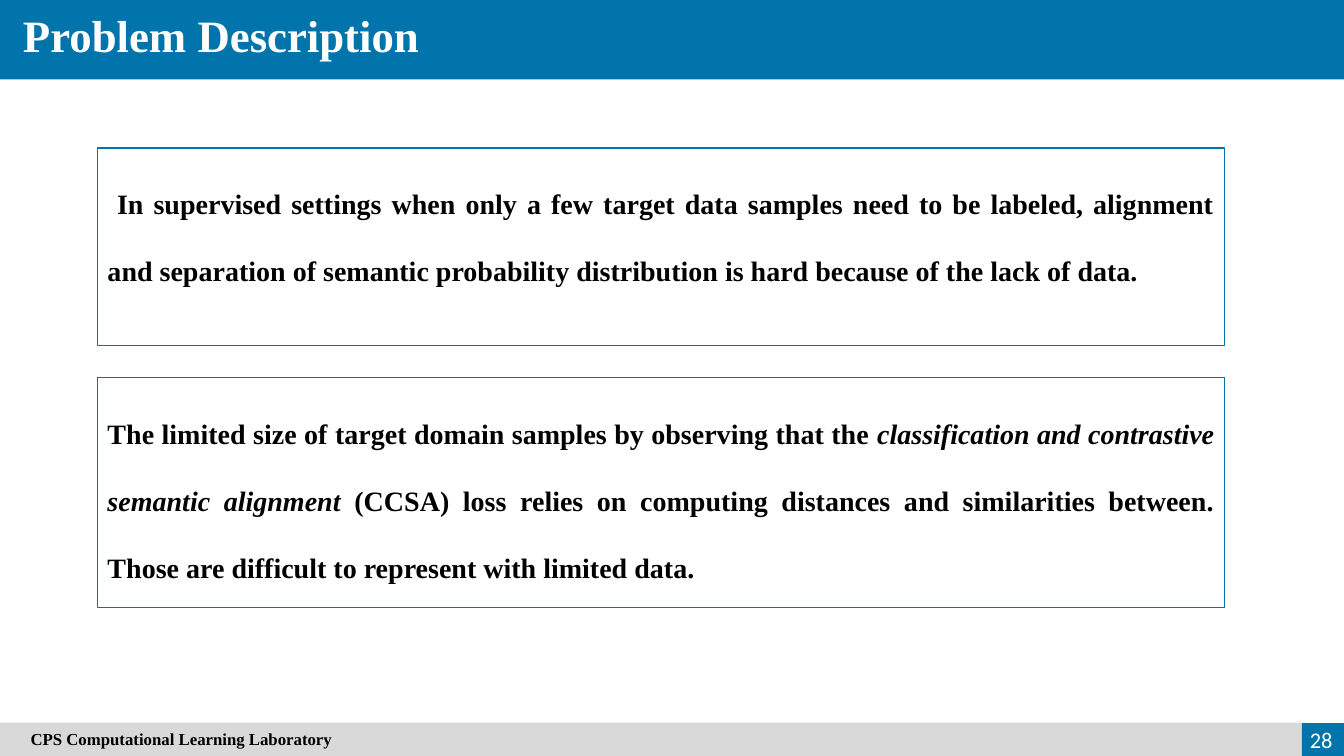
from pptx import Presentation
from pptx import util as u
from pptx.dml.color import RGBColor
from pptx.enum import shapes, text

BLUE, GREY, WHITE, BLACK = "0174AB", "D9D9D9", "FFFFFF", "000000"
SERIF = "Times New Roman"


def panel(left, top, width, height, fill=None, line=None):
    area = slide.shapes.add_shape(
        shapes.MSO_SHAPE.RECTANGLE, u.Cm(left), u.Cm(top), u.Cm(width), u.Cm(height))
    area.shadow.inherit = False
    for part, colour in ((area.fill, fill), (area.line.fill, line)):
        if colour:
            part.solid()
            part.fore_color.rgb = RGBColor.from_string(colour)
        else:
            part.background()
    if line:
        area.line.width = u.Pt(0.75)
    return area


def write(area, *runs, size=20, font=SERIF, colour=BLACK, bold=True, spacing=None,
          align=text.PP_ALIGN.JUSTIFY, anchor=text.MSO_ANCHOR.TOP, wrap=True):
    frame = area.text_frame
    frame.word_wrap = wrap
    frame.vertical_anchor = anchor
    paragraph = frame.paragraphs[0]
    paragraph.alignment = align
    if spacing:
        paragraph.line_spacing = spacing
    for wording, italic in runs:
        run = paragraph.add_run()
        run.text = wording
        run.font.size = u.Pt(size)
        run.font.name = font
        run.font.bold = bold
        run.font.italic = italic
        run.font.color.rgb = RGBColor.from_string(colour)
    return paragraph


deck = Presentation()
deck.slide_width, deck.slide_height = u.Cm(33.87), u.Cm(19.05)
slide = deck.slides.add_slide(deck.slide_layouts[6])

panel(0, 0, 33.87, 2, fill=BLUE)
title = slide.shapes.add_textbox(u.Cm(0.33), u.Cm(0.08), u.Cm(13.64), u.Cm(1.63))
write(title, ("Problem Description", False), size=32, colour=WHITE,
      align=text.PP_ALIGN.LEFT, wrap=False)

scarce_data = panel(2.46, 3.73, 28.4, 4.98, line=BLUE)
opening = write(
    scarce_data,
    ("In supervised settings when only a few target data samples need to be labeled, "
     "alignment and separation of semantic probability distribution is hard because of "
     "the lack of data.", False),
    spacing=2)
opening._p.get_or_add_pPr().set("indent", str(u.Cm(0.24)))

loss_limits = panel(2.46, 9.52, 28.4, 5.8, line=BLUE)
write(
    loss_limits,
    ("The limited size of target domain samples by observing that the ", False),
    ("classification and contrastive semantic alignment", True),
    (" (CCSA) loss relies on computing distances and similarities between. "
     "Those are difficult to represent with limited data.", False),
    spacing=2)

panel(32.8, 18.22, 1.07, 0.83, fill=BLUE)
laboratory = panel(0, 18.21, 32.8, 0.84, fill=GREY)
laboratory.text_frame.margin_left = u.Cm(0.77)
write(laboratory, ("CPS Computational Learning Laboratory", False), size=12,
      align=text.PP_ALIGN.LEFT, anchor=text.MSO_ANCHOR.MIDDLE)

page_number = slide.shapes.add_textbox(u.Cm(32.23), u.Cm(18.12), u.Cm(1.6), u.Cm(1.02))
write(page_number, ("28", False), size=16, font="Calibri", colour=WHITE, bold=False,
      align=text.PP_ALIGN.RIGHT, anchor=text.MSO_ANCHOR.MIDDLE)

deck.save("out.pptx")
